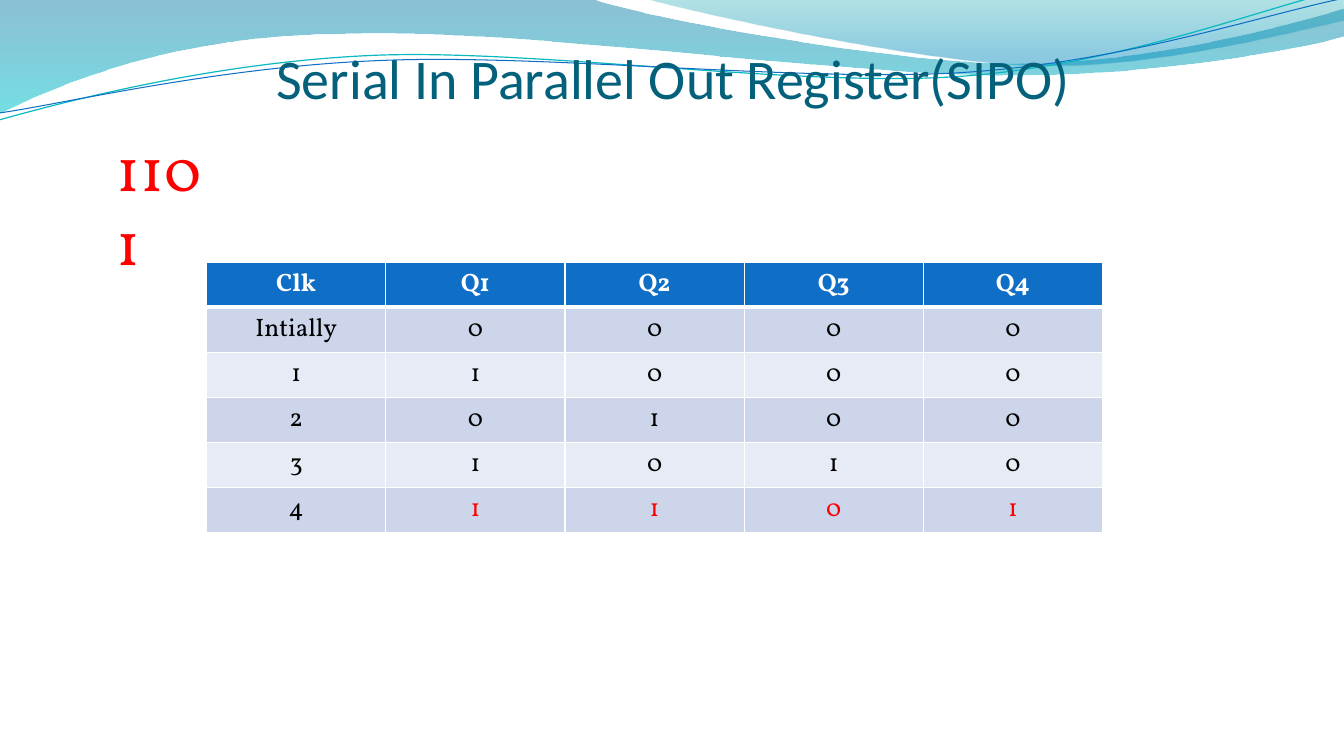
from dataclasses import dataclass

from lxml import etree
from pptx import Presentation
from pptx.dml.color import RGBColor
from pptx.enum.text import MSO_ANCHOR, PP_ALIGN
from pptx.oxml.ns import qn
from pptx.util import Pt

LEFT, CENTER = PP_ALIGN.LEFT, PP_ALIGN.CENTER
TOP, BOTTOM = MSO_ANCHOR.TOP, MSO_ANCHOR.BOTTOM


@dataclass(frozen=True)
class Theme:
    title_font: str = "Calibri"
    body_font: str = "Vollkorn"
    title_size: float = 40
    input_size: float = 44
    cell_size: float = 18
    title: str = "04617B"
    header: str = "0F6FC6"
    bands: tuple = ("CCD5EA", "E7EBF5")
    teal_line: str = "0AB8BF"
    white: str = "FFFFFF"
    black: str = "000000"
    red: str = "FF0000"
    # Gradient stops: position, colour, opacity in percent
    wide_wave: tuple = ((0, "0074A1", 45), (100, "00C6CF", 55))
    right_wave: tuple = ((0, "00A1A9", 30), (80, "008BBF", 45))


THEME = Theme()

# Wave outlines in points: a start, then line ends (2 numbers) or curves (6 numbers)
WIDE_WAVE = [
    (0, -0.7), (422.6, -0.7),
    (456.5, 12.2, 637.2, 45.4, 727.9, 45.4),
    (819.4, 45.4, 920.2, 18.7, 960, 6.5), (961.2, 25.9),
    (943.9, 31.7, 835.2, 54.7, 715.7, 54),
    (596.9, 54, 366.5, 20.2, 247, 24.5),
    (123.8, 25.2, 43.9, 59.8, -0.7, 81.4),
]
RIGHT_WAVE = [
    (460.1, -0.7),
    (488.9, 7.9, 654.5, 44.6, 738, 46.8),
    (821.5, 49.7, 923, 23, 960, 15.1), (960, 0),
]
TEAL_CURVE = [
    (-0.7, 85.7),
    (46.1, 72.7, 151.9, 44.6, 265.7, 39.6),
    (379.4, 34.6, 568.8, 62.6, 684, 54.7),
    (799.2, 46.8, 901.4, 5.8, 958.3, -7.2),
]
BLUE_CURVE = [
    (0, 80.6),
    (45.4, 74.2, 157, 47.5, 272.2, 43.2),
    (386.6, 38.2, 573.1, 59, 687.6, 51.8),
    (802.8, 44.6, 903.6, 10.1, 960.5, -1.4),
]

HEADINGS = ["Clk", "Q1", "Q2", "Q3", "Q4"]
STATES = [("Intially", "0000"), ("1", "1000"), ("2", "0100"),
          ("3", "1010"), ("4", "1101")]


def rgb(value):
    return RGBColor.from_string(value)


def write_text(frame, text, *, font, size, color, bold=False, align=LEFT):
    paragraph = frame.paragraphs[0]
    paragraph.alignment = align
    run = paragraph.add_run()
    run.text = text
    run.font.name, run.font.size = font, Pt(size)
    run.font.bold = bold
    run.font.color.rgb = rgb(color)


def add_text_box(slide, box, text, insets, anchor=TOP, **text_format):
    frame = slide.shapes.add_textbox(*map(Pt, box)).text_frame
    frame.word_wrap = True
    frame.vertical_anchor = anchor
    (frame.margin_left, frame.margin_top,
     frame.margin_right, frame.margin_bottom) = map(Pt, insets)
    write_text(frame, text, **text_format)


def add_outline(slide, origin, outline, close):
    left, top = origin
    points = [(Pt(left + x), Pt(top + y)) for segment in outline
              for x, y in zip(segment[::2], segment[1::2])]
    builder = slide.shapes.build_freeform(*points[0])
    builder.add_line_segments(points[1:], close=close)
    shape = builder.convert_to_shape()
    shape.shadow.inherit = False
    # Join the three points of each curve into one cubic segment
    lines = iter(list(shape._element.iter(qn("a:lnTo"))))
    for segment in outline[1:]:
        first = next(lines)
        if len(segment) == 6:
            first.tag = qn("a:cubicBezTo")
            for extra in (next(lines), next(lines)):
                first.append(extra[0])
                extra.getparent().remove(extra)
    return shape


def add_wave(slide, origin, outline, stops):
    wave = add_outline(slide, origin, outline, close=True)
    wave.line.fill.background()
    wave.fill.gradient()
    wave.fill.gradient_angle = 270
    for stop, (position, color, opacity) in zip(wave.fill.gradient_stops, stops):
        stop.position = position / 100
        stop.color.rgb = rgb(color)
    # Opacity of each stop
    colors = wave.fill._xPr.iter(qn("a:srgbClr"))
    for element, (_, _, opacity) in zip(colors, stops):
        etree.SubElement(element, qn("a:alpha"), val=str(opacity * 1000))


def add_curve(slide, origin, outline, color, width):
    curve = add_outline(slide, origin, outline, close=False)
    curve.fill.background()
    curve.line.color.rgb = rgb(color)
    curve.line.width = Pt(width)


def add_banner(slide, origin):
    add_wave(slide, origin, WIDE_WAVE, THEME.wide_wave)
    add_wave(slide, origin, RIGHT_WAVE, THEME.right_wave)
    add_curve(slide, origin, TEAL_CURVE, THEME.teal_line, 0.85)
    add_curve(slide, origin, BLUE_CURVE, THEME.header, 0.75)


def add_title(slide, box):
    add_text_box(slide, box, "Serial In Parallel Out Register(SIPO)",
                 (0, 3.6, 0, 0), BOTTOM, font=THEME.title_font,
                 size=THEME.title_size, color=THEME.title, align=CENTER)


def add_input_bits(slide, box):
    add_text_box(slide, box, "1101", (7.2, 3.6, 7.2, 3.6), font=THEME.body_font,
                 size=THEME.input_size, color=THEME.red)


def set_borders(cell, widths):
    properties = cell._tc.get_or_add_tcPr()
    for side, width in widths.items():
        line = etree.SubElement(properties, qn(f"a:ln{side}"), w=str(Pt(width)))
        fill = etree.SubElement(line, qn("a:solidFill"))
        etree.SubElement(fill, qn("a:srgbClr"), val=THEME.white)


def add_state_table(slide, box):
    rows = [HEADINGS] + [[clock, *bits] for clock, bits in STATES]
    table = slide.shapes.add_table(len(rows), len(HEADINGS), *map(Pt, box)).table
    last = len(rows) - 1
    for r, row in enumerate(rows):
        is_header = r == 0
        fill = THEME.header if is_header else THEME.bands[(r - 1) % 2]
        for c, text in enumerate(row):
            cell = table.cell(r, c)
            # The rule under the header is heavier
            set_borders(cell, {"L": 1, "R": 1, "T": 1, "B": 3 if is_header else 1})
            cell.fill.solid()
            cell.fill.fore_color.rgb = rgb(fill)
            # The final register contents stand out in red
            if is_header:
                color = THEME.white
            else:
                color = THEME.red if r == last and c > 0 else THEME.black
            write_text(cell.text_frame, text, font=THEME.body_font,
                       size=THEME.cell_size, color=color, bold=is_header,
                       align=CENTER)


def main():
    deck = Presentation()
    deck.slide_width, deck.slide_height = Pt(960), Pt(540)
    slide = deck.slides.add_slide(deck.slide_layouts[6])
    add_banner(slide, (0, 0))
    add_title(slide, (174, 0, 613.5, 79.2))
    add_state_table(slide, (147.6, 187.2, 640, 193.2))
    add_input_bits(slide, (76.3, 89.3, 80, 60.5))
    deck.save("out.pptx")


if __name__ == "__main__":
    main()
